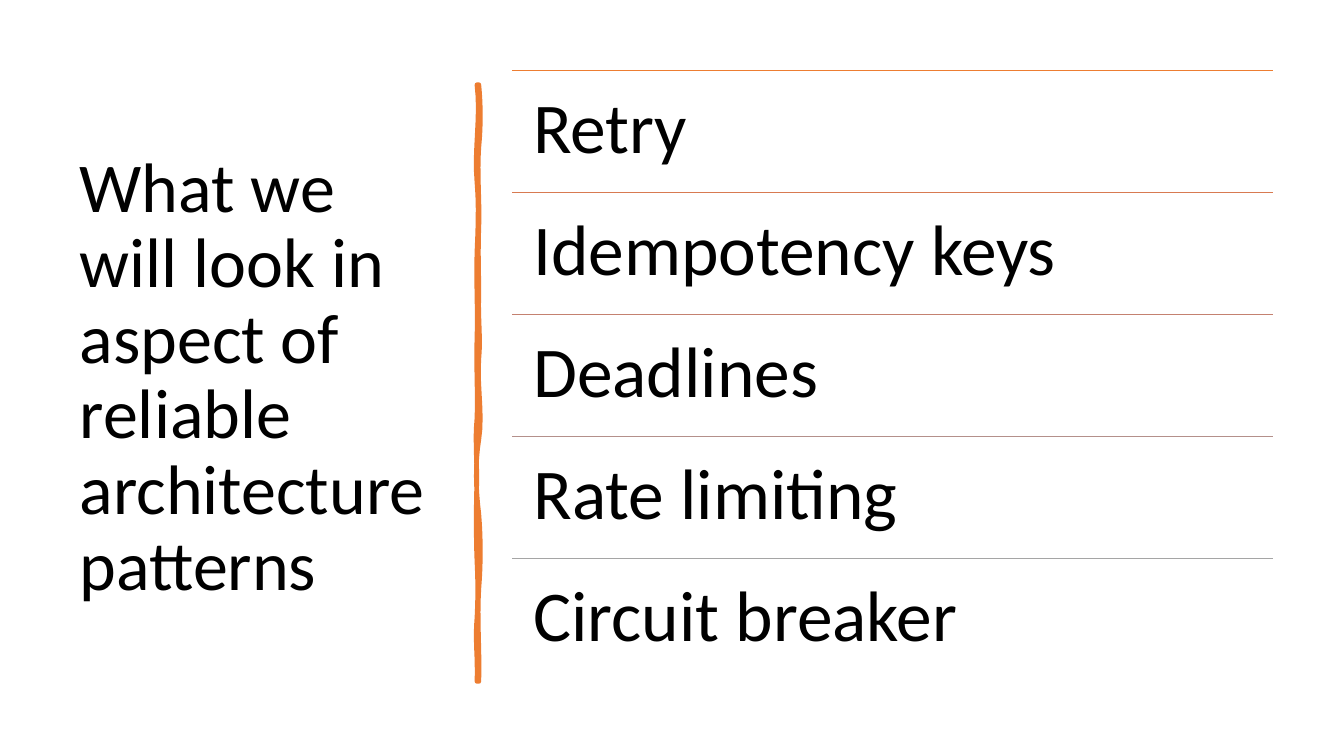
"""Build a slide listing reliable architecture patterns beside a hand-drawn divider."""
from lxml import etree
from pptx import Presentation
from pptx.dml.color import RGBColor
from pptx.enum.shapes import MSO_CONNECTOR
from pptx.enum.text import MSO_ANCHOR, MSO_AUTO_SIZE, PP_ALIGN
from pptx.oxml.ns import qn
from pptx.util import Inches, Pt

STRAIGHT = MSO_CONNECTOR.STRAIGHT
MIDDLE, TOP = MSO_ANCHOR.MIDDLE, MSO_ANCHOR.TOP
NO_FIT = MSO_AUTO_SIZE.NONE
LEFT = PP_ALIGN.LEFT
ORANGE = "ED7D31"


def rgb(value):
    return RGBColor.from_string(value)


def write(shape, text, size, anchor, margin_x, margin_y):
    tf = shape.text_frame
    tf.word_wrap = True
    tf.auto_size = NO_FIT
    tf.vertical_anchor = anchor
    tf.margin_left = tf.margin_right = Inches(margin_x)
    tf.margin_top = tf.margin_bottom = Inches(margin_y)
    p = tf.paragraphs[0]
    p.text = text
    p.alignment = LEFT
    p.line_spacing = 0.9
    p.font.name = "Calibri"
    p.font.size = Pt(size)
    p.font.color.rgb = rgb("000000")


prs = Presentation()
prs.slide_width, prs.slide_height = Inches(13.33), Inches(7.5)
s = prs.slides.add_slide(prs.slide_layouts[5])

title = s.shapes.title
title.left, title.top = Inches(0.69), Inches(0.7)
title.width, title.height = Inches(3.74), Inches(6.11)
write(title, "What we will look in aspect of reliable architecture patterns",
      50, MIDDLE, 0.1, 0.05)

# Each edge: x of its ends, start y, then (first control x, second control x, end y).
edges = [
    (4.75, 0.84, [(4.77, 4.77, 1.46), (4.73, 4.76, 2.26), (4.74, 4.75, 2.94),
                  (4.74, 4.77, 3.56), (4.73, 4.79, 4.36), (4.71, 4.72, 5.1),
                  (4.77, 4.77, 5.84), (4.73, 4.76, 6.76)]),
    (4.73, 6.76, [(4.74, 4.71, 6.13), (4.74, 4.74, 5.57), (4.72, 4.72, 4.77),
                  (4.73, 4.71, 4.15), (4.74, 4.72, 3.35), (4.74, 4.72, 2.5),
                  (4.74, 4.75, 1.81), (4.7, 4.77, 0.84)]),
]
STEPS = 8
points = []
for x, y, curves in edges:
    points.append((Inches(x), Inches(y)))
    for bend_1, bend_2, end_y in curves:
        for step in range(1, STEPS + 1):
            t = step / STEPS
            bend = 3 * t * (1 - t) * ((1 - t) * (bend_1 - x) + t * (bend_2 - x))
            points.append((Inches(x + bend), Inches(y + t * (end_y - y))))
        y = end_y
builder = s.shapes.build_freeform(*points[0])
builder.add_line_segments(points[1:], close=True)
divider = builder.convert_to_shape()
divider.shadow.inherit = False
divider.fill.solid()
divider.fill.fore_color.rgb = rgb(ORANGE)
divider.line.color.rgb = rgb(ORANGE)
divider.line.width = Pt(3.25)

patterns = [("Retry", ORANGE), ("Idempotency keys", "D87A51"),
            ("Deadlines", "C48170"), ("Rate limiting", "B4908B"),
            ("Circuit breaker", "A5A5A5")]
left, width, row_height = Inches(5.08), Inches(7.55), Inches(1.21)
for i, (pattern, color) in enumerate(patterns):
    top = Inches(0.7) + i * row_height
    rule = s.shapes.add_connector(STRAIGHT, left, top, left + width, top)
    rule.line.color.rgb = rgb(color)
    rule.line.width = Pt(1)
    etree.SubElement(rule._element.spPr, qn("a:effectLst"))
    box = s.shapes.add_textbox(left, top, width, row_height)
    write(box, pattern, 51, TOP, 0.21, 0.21)

prs.save("out.pptx")
